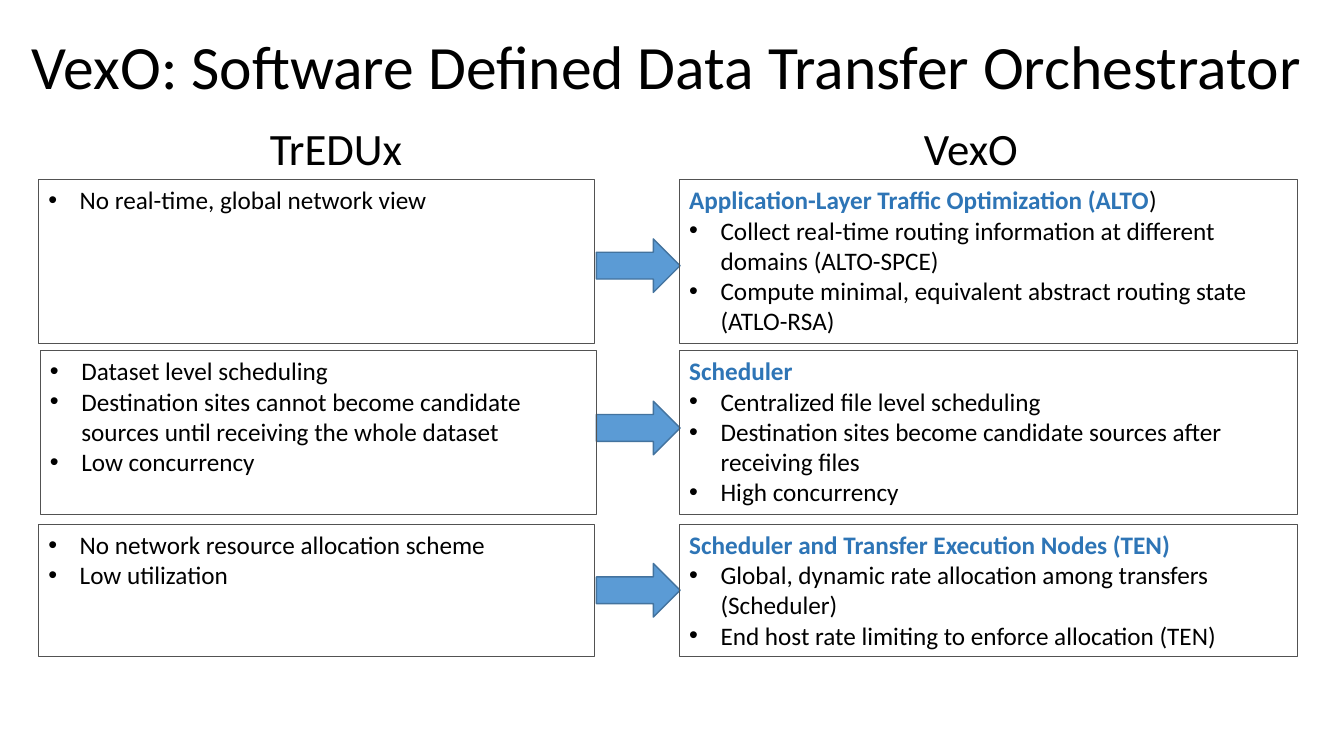
"""Build a slide that compares two data transfer systems row by row."""
import pptx
import pptx.dml.color
import pptx.enum.shapes
import pptx.enum.text
import pptx.oxml.ns
import pptx.util
from lxml import etree

Cm = pptx.util.Cm
Pt = pptx.util.Pt
RGBColor = pptx.dml.color.RGBColor
Shape = pptx.enum.shapes.MSO_SHAPE
Align = pptx.enum.text.PP_ALIGN

BLACK = RGBColor(0x00, 0x00, 0x00)
GRAY = RGBColor(0x52, 0x52, 0x52)
HEADING_BLUE = RGBColor(0x2E, 0x75, 0xB6)
ARROW_BLUE = RGBColor(0x5B, 0x9B, 0xD5)
ARROW_EDGE = RGBColor(0x43, 0x73, 0x9E)


class ComparisonSlide:
    """Holds the text style and the slide being drawn."""

    font_name = "Calibri"
    body_size = 18
    bullet_indent = Cm(0.79)

    def __init__(self, slide):
        self.slide = slide

    def style(self, font, size, color=BLACK, bold=False):
        font.name = self.font_name
        font.size = Pt(size)
        font.bold = bold
        font.color.rgb = color

    def title(self, text, center, top, width, height, size):
        box = self.slide.shapes.add_textbox(Cm(center - width / 2), Cm(top), Cm(width), Cm(height))
        box.text_frame.word_wrap = True
        paragraph = box.text_frame.paragraphs[0]
        paragraph.text = text
        paragraph.alignment = Align.CENTER
        self.style(paragraph.font, size)

    def bullet(self, paragraph):
        properties = paragraph._p.get_or_add_pPr()
        properties.set("marL", str(self.bullet_indent))
        properties.set("indent", str(-self.bullet_indent))
        for tag, key, value in (("a:buFont", "typeface", "Arial"), ("a:buChar", "char", "•")):
            etree.SubElement(properties, pptx.oxml.ns.qn(tag)).set(key, value)

    def shape(self, kind, left, top, width, height, edge, edge_width):
        shape = self.slide.shapes.add_shape(kind, Cm(left), Cm(top), Cm(width), Cm(height))
        shape.shadow.inherit = False
        shape.line.color.rgb = edge
        shape.line.width = Pt(edge_width)
        return shape

    def panel(self, left, top, width, height, points, heading="", heading_end=""):
        panel = self.shape(Shape.RECTANGLE, left, top, width, height, GRAY, 0.75)
        panel.fill.background()
        frame = panel.text_frame
        frame.word_wrap = True
        frame.vertical_anchor = pptx.enum.text.MSO_ANCHOR.TOP
        lines = ([heading] if heading else []) + points
        for index, line in enumerate(lines):
            paragraph = frame.paragraphs[0] if index == 0 else frame.add_paragraph()
            paragraph.alignment = Align.LEFT
            paragraph.text = line
            if line == heading:
                self.style(paragraph.font, self.body_size, HEADING_BLUE, True)
                if heading_end:
                    ending = paragraph.add_run()
                    ending.text = heading_end
                    self.style(ending.font, self.body_size)
            else:
                self.bullet(paragraph)
                self.style(paragraph.font, self.body_size)

    def arrow(self, left, top):
        arrow = self.shape(Shape.RIGHT_ARROW, left, top, 2.11, 1.35, ARROW_EDGE, 1)
        arrow.fill.solid()
        arrow.fill.fore_color.rgb = ARROW_BLUE


ROWS = [
    {
        "top": 4.53, "height": 4.12, "left": 0.97, "arrow_top": 6.02,
        "limits": ["No real-time, global network view"],
        "heading": "Application-Layer Traffic Optimization (ALTO", "heading_end": ")",
        "answers": [
            "Collect real-time routing information at different domains (ALTO-SPCE)",
            "Compute minimal, equivalent abstract routing state (ATLO-RSA)",
        ],
    },
    {
        "top": 8.84, "height": 4.12, "left": 1.01, "arrow_top": 10.11,
        "limits": [
            "Dataset level scheduling",
            "Destination sites cannot become candidate sources until receiving the whole dataset",
            "Low concurrency",
        ],
        "heading": "Scheduler", "heading_end": "",
        "answers": [
            "Centralized file level scheduling",
            "Destination sites become candidate sources after receiving files",
            "High concurrency",
        ],
    },
    {
        "top": 13.21, "height": 3.33, "left": 0.97, "arrow_top": 14.2,
        "limits": ["No network resource allocation scheme", "Low utilization"],
        "heading": "Scheduler and Transfer Execution Nodes (TEN)", "heading_end": "",
        "answers": [
            "Global, dynamic rate allocation among transfers (Scheduler)",
            "End host rate limiting to enforce allocation (TEN)",
        ],
    },
]


def main():
    deck = pptx.Presentation()
    deck.slide_width, deck.slide_height = Cm(33.87), Cm(19.05)
    comparison = ComparisonSlide(deck.slides.add_slide(deck.slide_layouts[6]))
    comparison.title("VexO: Software Defined Data Transfer Orchestrator", 16.81, 0.58, 33.4, 2.13, 44)
    comparison.title("TrEDUx", 8.47, 2.92, 5, 1.63, 32)
    comparison.title("VexO", 24.47, 2.92, 5, 1.63, 32)
    for row in ROWS:
        comparison.arrow(15.03, row["arrow_top"])
        comparison.panel(row["left"], row["top"], 14.02, row["height"], row["limits"])
        comparison.panel(17.12, row["top"], 15.58, row["height"], row["answers"],
                         row["heading"], row["heading_end"])
    deck.save("out.pptx")


if __name__ == "__main__":
    main()
